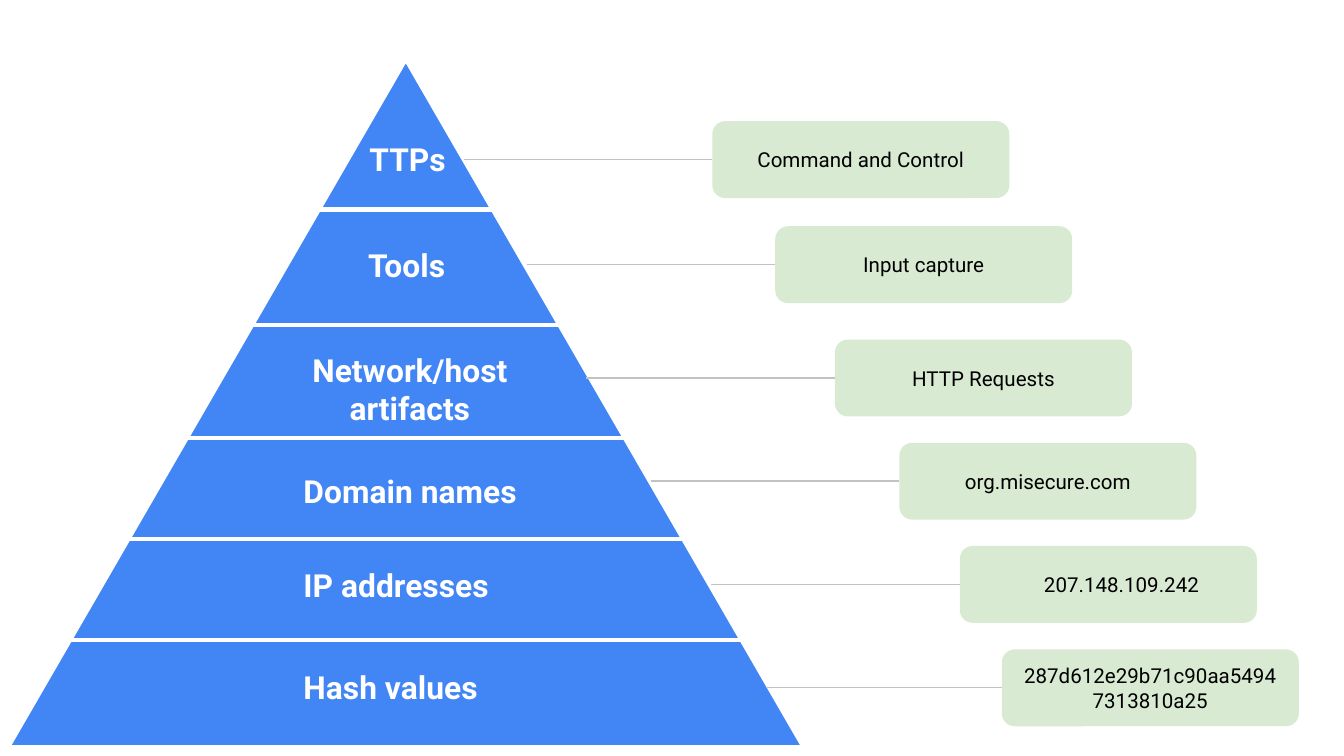
from dataclasses import dataclass
from typing import Any
from pptx import Presentation
from pptx.dml.color import RGBColor as Rgb
from pptx.enum.shapes import MSO_CONNECTOR as Link, MSO_SHAPE as Form
from pptx.enum.text import MSO_ANCHOR as Anchor, MSO_AUTO_SIZE as Fit, PP_ALIGN as Align
from pptx.oxml.ns import qn
from pptx.util import Pt
from lxml.etree import SubElement


@dataclass(frozen=True)
class Theme:
    blue: Rgb = Rgb(0x42, 0x85, 0xF4)
    green: Rgb = Rgb(0xD9, 0xEA, 0xD3)
    grey: Rgb = Rgb(0xC2, 0xC2, 0xC2)
    white: Rgb = Rgb(255, 255, 255)
    black: Rgb = Rgb(0, 0, 0)
    font: str = "Roboto"
    large: float = 17
    small: float = 11
    thick: float = 2.25
    thin: float = 0.75


@dataclass(frozen=True)
class Box:
    left: float
    top: float
    width: float
    height: float


@dataclass(frozen=True)
class Level:
    name: str
    area: Box
    sample: str
    left: float
    top: float
    reach: float = 133.2
    align: Any = Align.CENTER
    indent: float = 0
    centred: bool = False


THEME = Theme()
PEAK = Box(4.3, 31.7, 426.2, 368.6)
CUTS = (112.3, 174.2, 234.7, 288.7, 342.7)
CARD_W, CARD_H = 159.1, 41.2
LEVELS = (
    Level("TTPs", Box(190.8, 67.7, 63.4, 35.3), "Command and Control", 381.6, 64.9),
    Level("Tools", Box(190.1, 124.3, 63.4, 35.3), "Input capture", 415.3, 121.2),
    Level("Network/host artifacts", Box(141.1, 180.8, 157, 55.4),
          "HTTP Requests", 447.3, 181.9, centred=True),
    Level("Domain names", Box(155.5, 245.5, 161.3, 35.3),
          "org.misecure.com", 481.8, 237.2),
    Level("IP addresses", Box(155.5, 296, 161.3, 35.3),
          "207.148.109.242", 514.2, 292.5, align=Align.LEFT, indent=36),
    Level("Hash values", Box(155.5, 350.6, 161.3, 35.3),
          "287d612e29b71c90aa54947313810a25", 536.7, 347.9, reach=126.4),
)


def apply(item: Any, look: dict[str, Any]) -> None:
    for key, value in look.items():
        setattr(item, key, value)


def place(box: Box) -> tuple[Pt, Pt, Pt, Pt]:
    return Pt(box.left), Pt(box.top), Pt(box.width), Pt(box.height)


def write(shape: Any, text: str, frame: dict[str, Any], font: dict[str, Any],
          tint: Rgb, align: Any, indent: float = 0) -> None:
    body = shape.text_frame
    sides = ("left", "top", "right", "bottom")
    apply(body, {f"margin_{side}": Pt(7.2) for side in sides})
    apply(body, {"word_wrap": True} | frame)
    para = body.paragraphs[0]
    para.alignment = align
    if indent:
        para._p.get_or_add_pPr().set("marL", str(Pt(indent)))
    run = para.add_run()
    run.text = text
    apply(run.font, {"name": THEME.font} | font)
    run.font.color.rgb = tint


def draw_shape(shapes: Any, form: Any, box: Box, tint: Rgb) -> Any:
    shape = shapes.add_shape(form, *place(box))
    shape.shadow.inherit = False
    shape.fill.solid()
    shape.fill.fore_color.rgb = tint
    shape.line.fill.background()
    return shape


def draw_line(shapes: Any, kind: Any, start: float, end: float, y: float,
              tint: Rgb, width: float) -> Any:
    line = shapes.add_connector(kind, Pt(start), Pt(y), Pt(end), Pt(y))
    line.line.color.rgb = tint
    line.line.width = Pt(width)
    SubElement(line._element.spPr, qn("a:effectLst"))
    return line


def draw_peak(shapes: Any) -> None:
    group = shapes.add_group_shape().shapes
    peak = draw_shape(group, Form.ISOSCELES_TRIANGLE, PEAK, THEME.blue)
    peak.line.color.rgb = THEME.white
    peak.line.width = Pt(THEME.thick)
    mid = PEAK.left + PEAK.width / 2
    for y in CUTS:
        half = PEAK.width / 2 * (y - PEAK.top) / PEAK.height
        draw_line(group, Link.STRAIGHT, mid - half, mid + half, y,
                  THEME.white, THEME.thick)


def draw_label(shapes: Any, level: Level) -> None:
    label = shapes.add_textbox(*place(level.area))
    write(label, level.name, {"auto_size": Fit.SHAPE_TO_FIT_TEXT},
          {"size": Pt(THEME.large), "bold": True}, THEME.white,
          Align.CENTER if level.centred else Align.LEFT)


def draw_card(shapes: Any, level: Level) -> None:
    line = draw_line(shapes, Link.ELBOW, level.left - level.reach, level.left,
                     level.top + CARD_H / 2, THEME.grey, THEME.thin)
    box = Box(level.left, level.top, CARD_W, CARD_H)
    card = draw_shape(shapes, Form.ROUNDED_RECTANGLE, box, THEME.green)
    write(card, level.sample, {"vertical_anchor": Anchor.MIDDLE},
          {"size": Pt(THEME.small)}, THEME.black, level.align, level.indent)
    line.end_connect(card, 1)


def main() -> None:
    deck = Presentation()
    apply(deck, {"slide_width": Pt(720), "slide_height": Pt(405)})
    shapes = deck.slides.add_slide(deck.slide_layouts[6]).shapes
    draw_peak(shapes)
    for draw in (draw_label, draw_card):
        for level in LEVELS:
            draw(shapes, level)
    deck.save("out.pptx")


if __name__ == "__main__":
    main()
